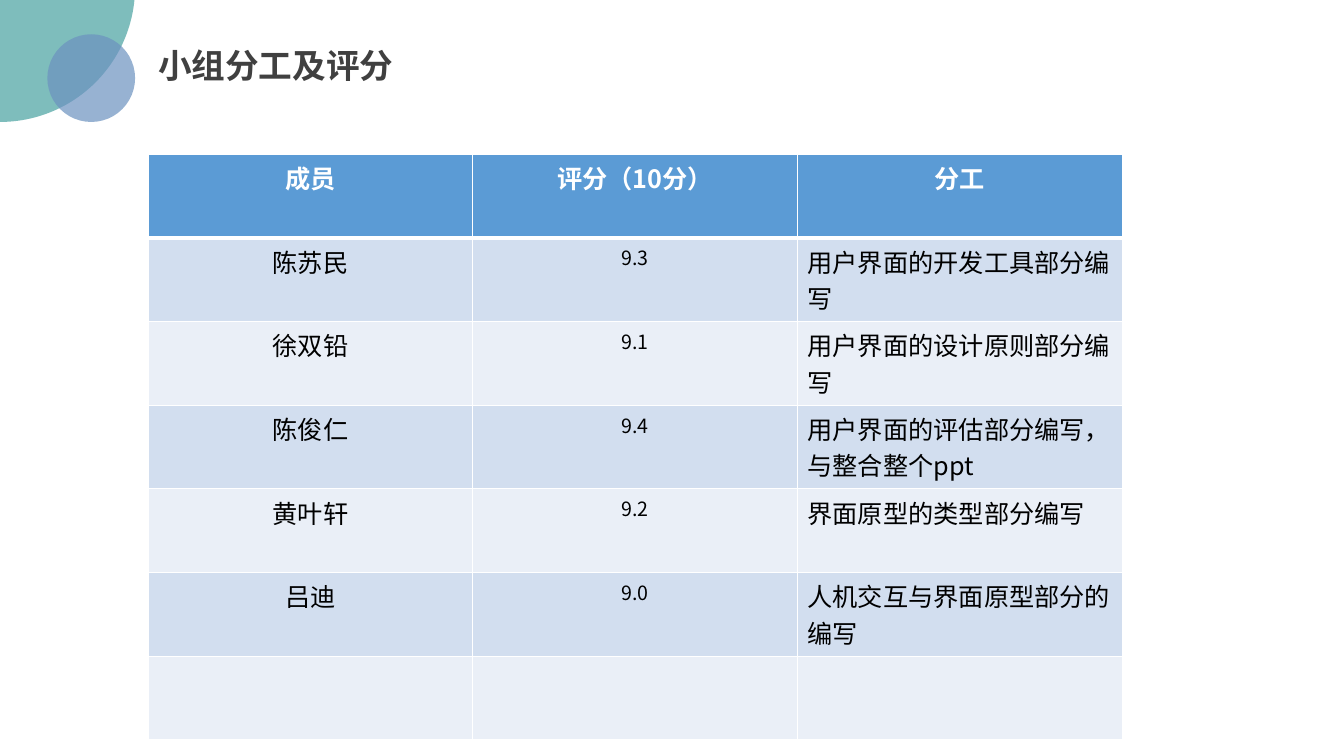
from dataclasses import dataclass

import pptx
import pptx.dml.color
import pptx.enum.shapes
import pptx.enum.text
import pptx.oxml
import pptx.oxml.ns
import pptx.util
from pptx.util import Inches


@dataclass(frozen=True)
class Theme:
    font: str = "Noto Sans CJK SC"
    teal: str = "48A2A0"
    blue: str = "6C92C0"
    title: str = "404040"
    header: str = "5B9BD5"
    bands: tuple = ("D2DEEF", "EAEFF7")
    white: str = "FFFFFF"
    black: str = "000000"
    title_size: int = 24
    cell_size: int = 18
    score_size: int = 14


THEME = Theme()
CENTER = pptx.enum.text.PP_ALIGN.CENTER
LEFT = pptx.enum.text.PP_ALIGN.LEFT

HEADINGS = ("成员", "评分（10分）", "分工")
MEMBERS = (
    ("陈苏民", "9.3", "用户界面的开发工具部分编写"),
    ("徐双铅", "9.1", "用户界面的设计原则部分编写"),
    ("陈俊仁", "9.4", "用户界面的评估部分编写，与整合整个ppt"),
    ("黄叶轩", "9.2", "界面原型的类型部分编写"),
    ("吕迪", "9.0", "人机交互与界面原型部分的编写"),
    ("", "", ""),
)


def rgb(color):
    return pptx.dml.color.RGBColor.from_string(color)


def add_xml(parent, xml):
    """Append a drawing element written without its namespace."""
    head, rest = xml.split(" ", 1)
    element = pptx.oxml.parse_xml(f"{head} {pptx.oxml.ns.nsdecls('a')} {rest}")
    parent.append(element)


def write(paragraph, text, size, color, bold=False, align=LEFT):
    paragraph.text = text
    paragraph.alignment = align
    font = paragraph.font
    font.size = pptx.util.Pt(size)
    font.bold = bold
    font.color.rgb = rgb(color)
    font.name = THEME.font
    # Chinese characters take the East Asian typeface
    defaults = paragraph._p.pPr.find(pptx.oxml.ns.qn("a:defRPr"))
    add_xml(defaults, f'<a:ea typeface="{THEME.font}"/>')


def add_circle(slide, left, top, diameter, color):
    circle = slide.shapes.add_shape(
        pptx.enum.shapes.MSO_SHAPE.OVAL,
        Inches(left), Inches(top), Inches(diameter), Inches(diameter))
    circle.shadow.inherit = False
    circle.line.fill.background()
    circle.fill.solid()
    circle.fill.fore_color.rgb = rgb(color)
    tint = circle._element.spPr.find(".//" + pptx.oxml.ns.qn("a:srgbClr"))
    add_xml(tint, '<a:alpha val="70000"/>')


def add_title(slide, text):
    title = slide.shapes.add_textbox(
        Inches(1.47), Inches(0.4), Inches(2.56), Inches(0.5))
    frame = title.text_frame
    frame.word_wrap = False
    frame.auto_size = pptx.enum.text.MSO_AUTO_SIZE.SHAPE_TO_FIT_TEXT
    write(frame.paragraphs[0], text, THEME.title_size, THEME.title, bold=True)


def style_cell(cell, fill, top_width, bottom_width):
    widths = {"lnL": 1, "lnR": 1, "lnT": top_width, "lnB": bottom_width}
    properties = cell._tc.get_or_add_tcPr()
    for side, width in widths.items():
        add_xml(properties,
                f'<a:{side} w="{pptx.util.Pt(width)}"><a:solidFill>'
                f'<a:srgbClr val="{THEME.white}"/></a:solidFill></a:{side}>')
    cell.fill.solid()
    cell.fill.fore_color.rgb = rgb(fill)


def add_score_table(slide):
    rows = (HEADINGS,) + MEMBERS
    row_height, column_width = Inches(0.83), Inches(3.22)
    table = slide.shapes.add_table(
        len(rows), len(HEADINGS), Inches(1.47), Inches(1.53),
        column_width * len(HEADINGS), row_height * len(rows)).table
    table.first_row = table.horz_banding = False
    for column in table.columns:
        column.width = column_width

    for row, texts in enumerate(rows):
        table.rows[row].height = row_height
        is_header = row == 0
        fill = THEME.header if is_header else THEME.bands[(row - 1) % 2]
        for column, text in enumerate(texts):
            cell = table.cell(row, column)
            # A thick rule parts the header from the members
            style_cell(cell, fill, 3 if row == 1 else 1, 3 if is_header else 1)
            if not text:
                continue
            is_score = column == 1 and not is_header
            is_duty = column == 2 and not is_header
            write(cell.text_frame.paragraphs[0], text,
                  THEME.score_size if is_score else THEME.cell_size,
                  THEME.white if is_header else THEME.black,
                  bold=is_header, align=LEFT if is_duty else CENTER)


def main():
    deck = pptx.Presentation()
    deck.slide_width, deck.slide_height = Inches(13.33), Inches(7.5)
    slide = deck.slides.add_slide(deck.slide_layouts[6])

    # Corner decoration
    add_circle(slide, -1.34, -1.47, 2.68, THEME.teal)
    add_circle(slide, 0.47, 0.34, 0.87, THEME.blue)

    # Title and scores
    add_title(slide, "小组分工及评分")
    add_score_table(slide)

    deck.save("out.pptx")


if __name__ == "__main__":
    main()
